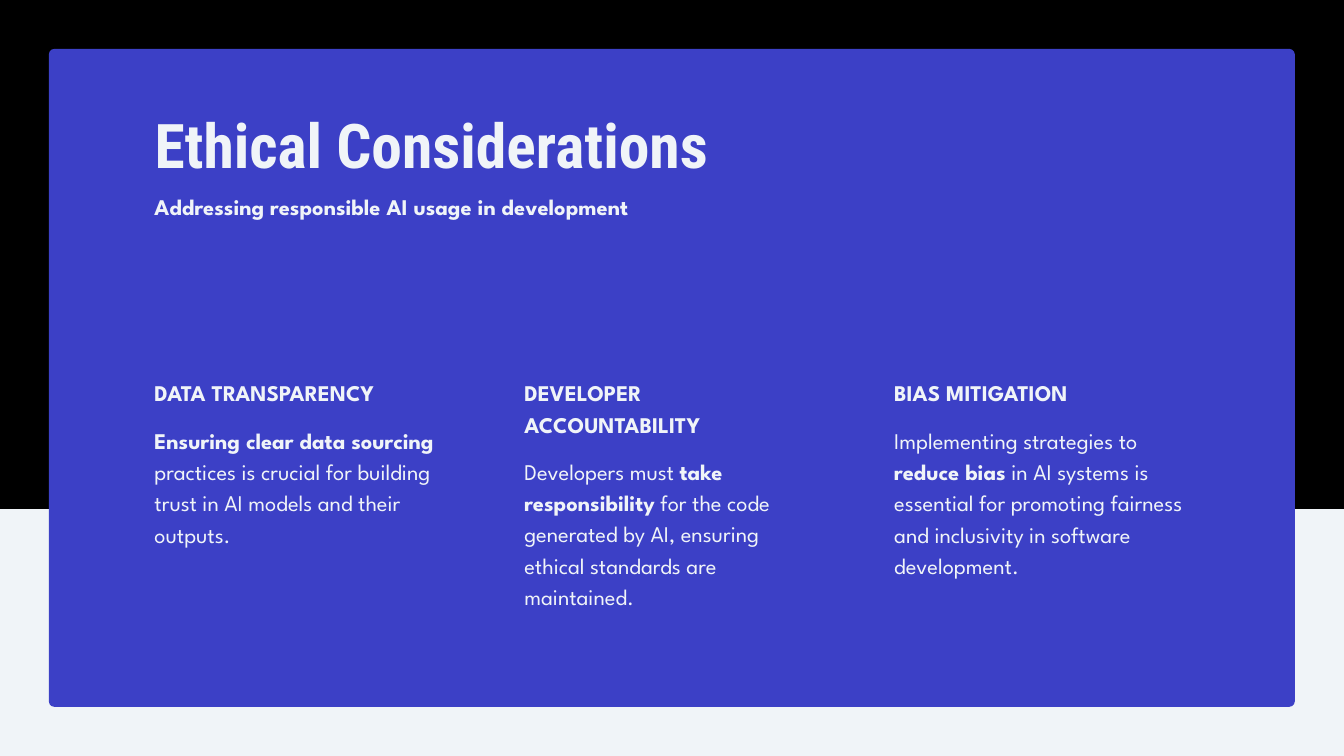
import pptx
import pptx.dml.color
import pptx.enum.shapes
import pptx.enum.text
import pptx.util

Cm = pptx.util.Cm
Pt = pptx.util.Pt
MSO_SHAPE = pptx.enum.shapes.MSO_SHAPE

WIDTH, HEIGHT = 50.8, 28.58
BLACK, PALE, INDIGO = "000000", "F0F4F8", "3C40C6"

LEFT, CONTENT_WIDTH = 5.84, 39.12
COLUMN_TOP, COLUMN_WIDTH, COLUMN_PITCH = 14.17, 11.15, 13.98
HEADING_GAP = 0.69

# Heading, heading line count, body line count, body runs as (text, bold)
COLUMNS = [
    ("DATA TRANSPARENCY", 1, 4, [
        ("Ensuring clear data sourcing", True),
        (" practices is crucial for building trust in AI models and their outputs.", False)]),
    ("DEVELOPER ACCOUNTABILITY", 2, 5, [
        ("Developers must ", False),
        ("take responsibility", True),
        (" for the code generated by AI, ensuring ethical standards are maintained.", False)]),
    ("BIAS MITIGATION", 1, 5, [
        ("Implementing strategies to ", False),
        ("reduce bias", True),
        (" in AI systems is essential for promoting fairness and inclusivity"
         " in software development.", False)]),
]


def color(hex_string):
    return pptx.dml.color.RGBColor.from_string(hex_string)


def text_height(lines):
    return 1.17 * lines - 0.06


class SlideBuilder:
    """Holds the text style and the slide being filled."""

    title_font, body_font = "Roboto Condensed", "League Spartan"
    text_color = PALE

    def __init__(self, slide):
        self.slide = slide

    def background(self, fill):
        self.slide.background.fill.solid()
        self.slide.background.fill.fore_color.rgb = color(fill)

    def panel(self, left, top, width, height, fill, radius=0):
        kind = MSO_SHAPE.ROUNDED_RECTANGLE if radius else MSO_SHAPE.RECTANGLE
        shape = self.slide.shapes.add_shape(kind, Cm(left), Cm(top), Cm(width), Cm(height))
        if radius:
            shape.adjustments[0] = radius / min(width, height)
        shape.shadow.inherit = False
        shape.fill.solid()
        shape.fill.fore_color.rgb = color(fill)
        shape.line.fill.background()

    def title(self, text, left, top, width, height):
        shape = self.slide.shapes.title
        shape.left, shape.top = Cm(left), Cm(top)
        shape.width, shape.height = Cm(width), Cm(height)
        # Placed last so that the title stands in front of the panels
        self.slide.shapes._spTree.append(shape._element)
        self.fill_text(shape, [(text, True)], self.title_font, 66, 79.2)

    def text(self, runs, left, top, width, height):
        shape = self.slide.shapes.add_textbox(Cm(left), Cm(top), Cm(width), Cm(height))
        self.fill_text(shape, runs, self.body_font, 24, 33.6)

    def fill_text(self, shape, runs, font_name, size, line_spacing):
        frame = shape.text_frame
        frame.word_wrap = True
        frame.auto_size = pptx.enum.text.MSO_AUTO_SIZE.NONE
        frame.vertical_anchor = pptx.enum.text.MSO_ANCHOR.TOP
        frame.margin_left = frame.margin_right = 0
        frame.margin_top = frame.margin_bottom = 0
        paragraph = frame.paragraphs[0]
        paragraph.alignment = pptx.enum.text.PP_ALIGN.LEFT
        paragraph.line_spacing = Pt(line_spacing)
        paragraph.space_before = Pt(0)
        for text, bold in runs:
            run = paragraph.add_run()
            run.text = text
            run.font.name = font_name
            run.font.size = Pt(size)
            run.font.bold = bold
            run.font.color.rgb = color(self.text_color)


def main():
    presentation = pptx.Presentation()
    presentation.slide_width, presentation.slide_height = Cm(WIDTH), Cm(HEIGHT)
    title_only = presentation.slide_layouts[5]
    builder = SlideBuilder(presentation.slides.add_slide(title_only))

    builder.background(BLACK)
    builder.panel(0, 19.25, WIDTH, HEIGHT - 19.25, PALE)
    builder.panel(1.85, 1.85, 47.09, 24.87, INDIGO, radius=0.2)

    builder.title("Ethical Considerations", LEFT, 4.06, CONTENT_WIDTH, 3.05)
    builder.text([("Addressing responsible AI usage in development", True)],
                 LEFT, 7.14, CONTENT_WIDTH, text_height(1))

    for index, (heading, heading_lines, body_lines, body) in enumerate(COLUMNS):
        left = LEFT + index * COLUMN_PITCH
        heading_height = text_height(heading_lines)
        builder.text([(heading, True)], left, COLUMN_TOP, COLUMN_WIDTH, heading_height)
        builder.text(body, left, COLUMN_TOP + heading_height + HEADING_GAP,
                     COLUMN_WIDTH, text_height(body_lines))

    presentation.save("out.pptx")


if __name__ == "__main__":
    main()
